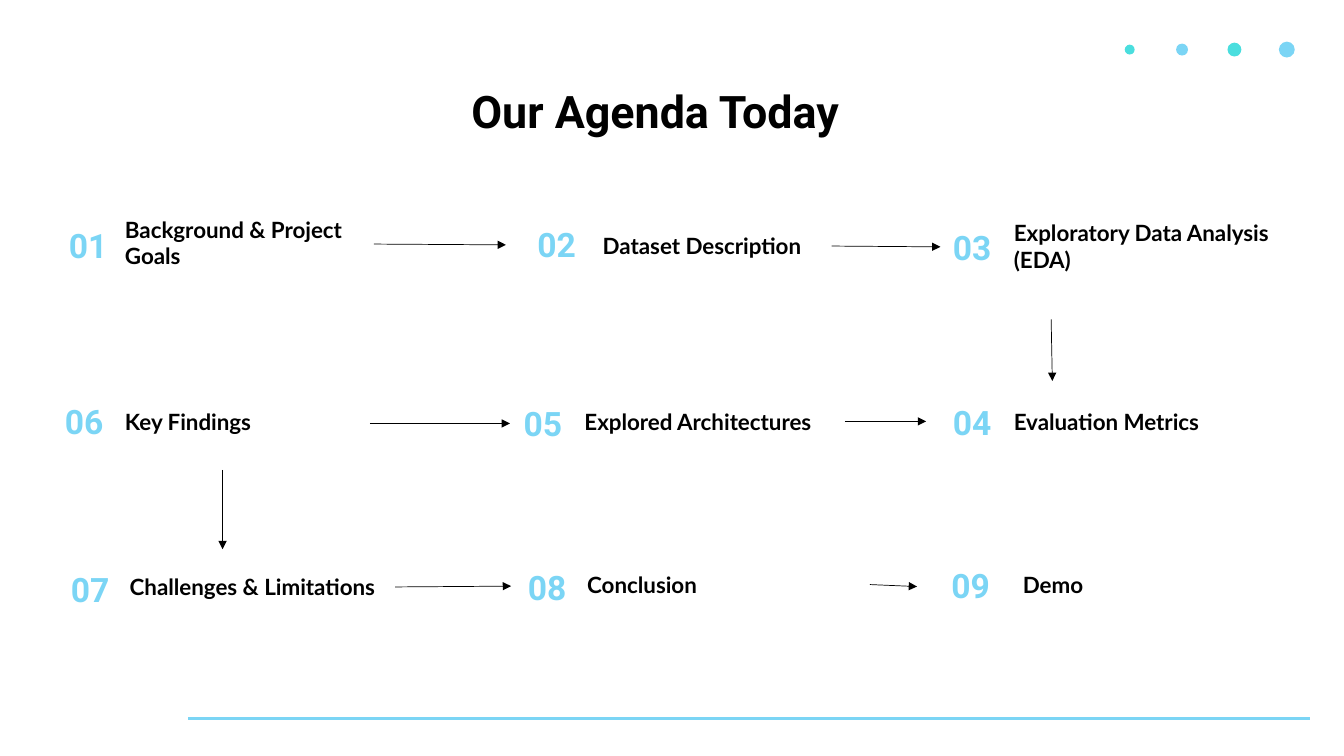
from lxml import etree
from pptx import Presentation
from pptx.dml.color import RGBColor
from pptx.enum.shapes import MSO_CONNECTOR as Connector, MSO_SHAPE as Shape
from pptx.enum.text import MSO_ANCHOR as Anchor, MSO_AUTO_SIZE as AutoSize, PP_ALIGN as Align
from pptx.oxml.ns import qn
from pptx.util import Cm, Pt

BLACK = RGBColor(0x00, 0x00, 0x00)
SKY = RGBColor(0x7B, 0xD5, 0xF5)
TEAL = RGBColor(0x4A, 0xDE, 0xDE)


def write_text(box, text, font="Lato", size=16, color=BLACK, align=Align.LEFT, anchor=Anchor.TOP):
    frame = box.text_frame
    frame.word_wrap = True
    frame.auto_size = AutoSize.NONE
    frame.vertical_anchor = anchor
    para = frame.paragraphs[0]
    para.alignment = align
    span = para.add_run()
    span.text = text
    span.font.name = font
    span.font.size = Pt(size)
    span.font.bold = True
    span.font.color.rgb = color


def draw_line(start, end, color=BLACK, width=0.5, arrow=True):
    line = page.shapes.add_connector(Connector.STRAIGHT, *map(Cm, start + end))
    line.line.color.rgb = color
    line.line.width = Pt(width)
    if arrow:
        etree.SubElement(line.line._get_or_add_ln(), qn("a:tailEnd"), type="triangle")
    etree.SubElement(line._element.spPr, qn("a:effectLst"))


deck = Presentation()
deck.slide_width, deck.slide_height = Cm(33.87), Cm(19.05)
page = deck.slides.add_slide(deck.slide_layouts[5])

# Footer rule and growing dots
draw_line((4.75, 18.11), (33.02, 18.11), color=SKY, width=1.75, arrow=False)
for index, color in enumerate((TEAL, SKY, TEAL, SKY)):
    diameter = 0.25 + 0.05 * index
    left = 28.47 + 1.32 * index - diameter / 2
    dot = page.shapes.add_shape(
        Shape.OVAL, Cm(left), Cm(1.25 - diameter / 2), Cm(diameter), Cm(diameter))
    dot.shadow.inherit = False
    dot.fill.solid()
    dot.fill.fore_color.rgb = color
    dot.line.fill.background()

title = page.shapes.title
title.left, title.top, title.width, title.height = Cm(9.91), Cm(1.98), Cm(13.21), Cm(1.63)
write_text(title, "Our Agenda Today", font="Roboto", size=32,
           align=Align.CENTER, anchor=Anchor.MIDDLE)

# Topic, number left and top, label left, top and width
agenda = [
    ("Background & Project Goals", 1.42, 5.54, 2.9, 5.31, 6.32),
    ("Dataset Description", 13.23, 5.51, 14.94, 5.72, 5.99),
    ("Exploratory Data Analysis (EDA)", 23.7, 5.59, 25.3, 5.41, 7.82),
    ("Evaluation Metrics", 23.7, 10.01, 25.3, 10.16, 5.56),
    ("Explored Architectures", 12.88, 10.03, 14.48, 10.16, 6.58),
    ("Key Findings", 1.32, 9.98, 2.9, 10.16, 6.91),
    ("Challenges & Limitations", 1.47, 14.2, 3.02, 14.33, 6.93),
    ("Conclusion", 12.99, 14.17, 14.55, 14.27, 7.37),
    ("Demo", 23.66, 14.12, 25.53, 14.27, 3.94),
]
for number, (topic, number_left, number_top, left, top, width) in enumerate(agenda, start=1):
    number_box = page.shapes.add_textbox(Cm(number_left), Cm(number_top), Cm(1.6), Cm(1.27))
    write_text(number_box, f"{number:02}", font="Roboto", size=24, color=SKY, align=Align.CENTER)
    height = 1.65 if number in (1, 3) else 0.94
    label_box = page.shapes.add_textbox(Cm(left), Cm(top), Cm(width), Cm(height))
    write_text(label_box, topic)

arrows = [
    ((9.42, 6.15), (12.75, 6.17)),
    ((20.96, 6.2), (23.7, 6.22)),
    ((26.49, 8.05), (26.52, 9.6)),
    ((21.29, 10.62), (23.34, 10.62)),
    ((9.32, 10.67), (12.85, 10.67)),
    ((5.61, 11.84), (5.61, 13.84)),
    ((9.96, 14.79), (12.88, 14.77)),
    ((21.92, 14.73), (23.11, 14.78)),
]
for start, end in arrows:
    draw_line(start, end)

deck.save("out.pptx")
